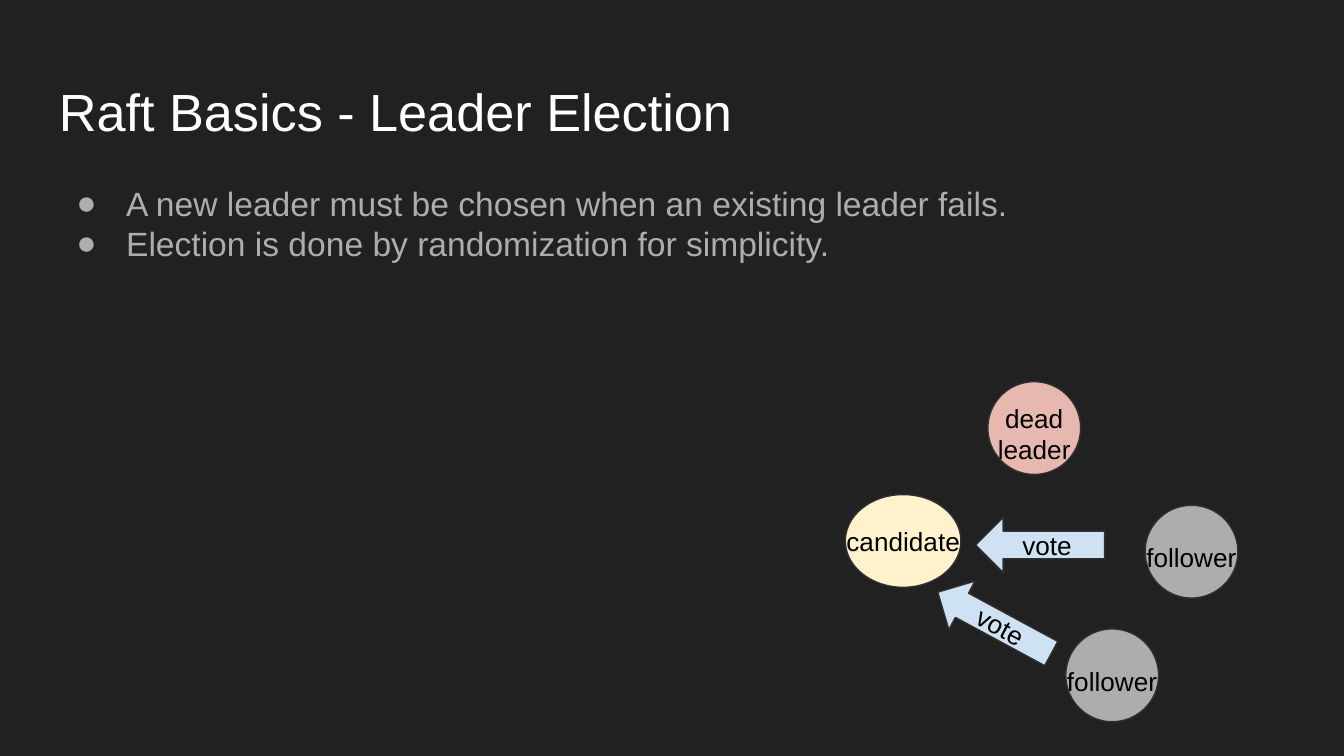
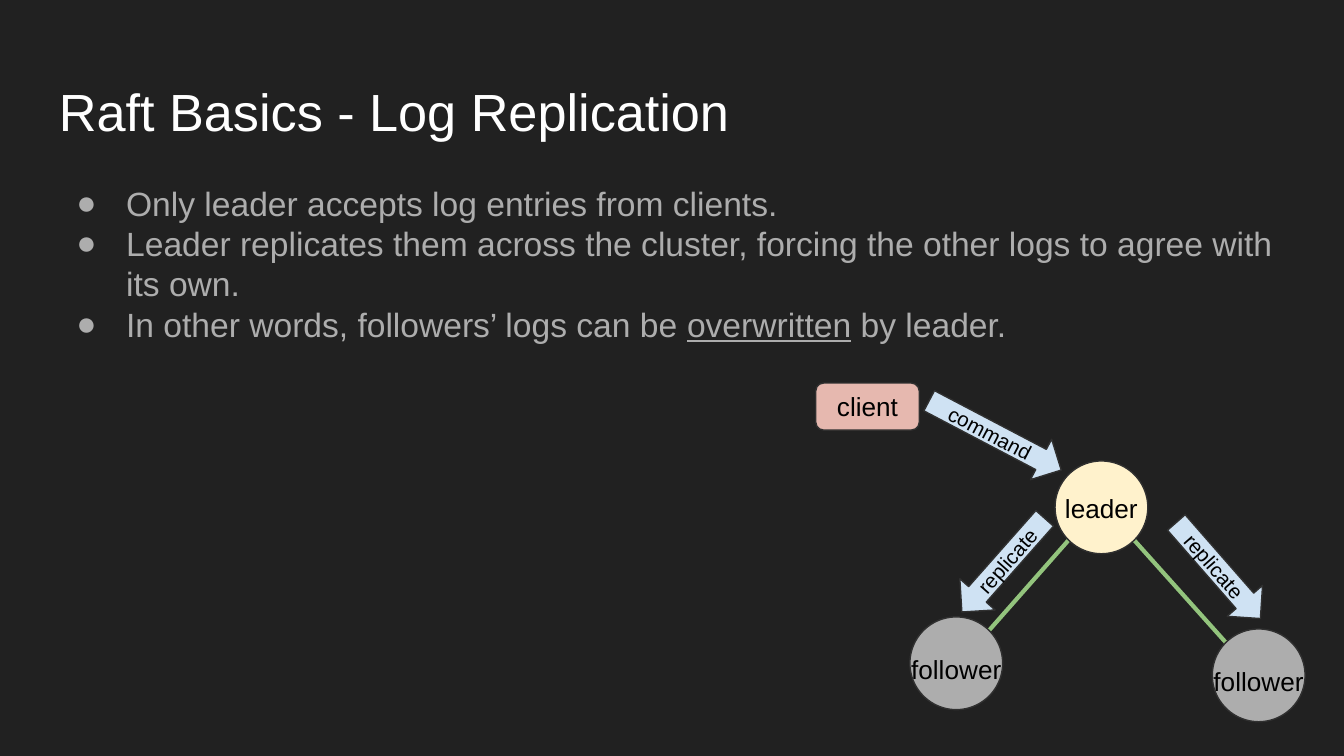
from dataclasses import dataclass
from math import sqrt

from lxml import etree
from pptx import Presentation
from pptx.dml.color import RGBColor
from pptx.enum.shapes import MSO_CONNECTOR, MSO_SHAPE as Preset
from pptx.enum.text import MSO_ANCHOR as Anchor, PP_ALIGN as Align
from pptx.oxml.ns import qn
from pptx.slide import Slide
from pptx.util import Inches, Pt


@dataclass(frozen=True)
class Theme:
    font: str = "Arial"
    background: str = "212121"
    title: str = "FFFFFF"
    body: str = "ADADAD"
    label: str = "000000"
    outline: str = "303030"
    link: str = "93C47D"
    arrow: str = "CFE2F3"
    red: str = "E6B8AF"
    yellow: str = "FFF2CC"
    grey: str = "ADADAD"
    title_size: int = 28
    body_size: int = 18
    label_size: int = 14
    small_size: int = 11


THEME = Theme()
LABEL_HEIGHT = 0.35


@dataclass(frozen=True)
class Node:
    """A cluster member: an ellipse with its label laid over it."""
    left: float
    top: float
    lines: tuple[str, ...]
    fill: str
    label_drop: float
    width: float = 0.69
    height: float = 0.69
    label_width: float = 0.88

    def diagonal(self, right: int, down: int) -> tuple[float, float]:
        """Point on the outline at 45 degrees, by direction signs."""
        return (self.left + self.width / 2 * (1 + right / sqrt(2)),
                self.top + self.height / 2 * (1 + down / sqrt(2)))


@dataclass(frozen=True)
class Block:
    """A preset shape that carries its own text."""
    preset: Preset
    left: float
    top: float
    width: float
    height: float
    text: str
    rotation: float = 0
    fill: str = THEME.arrow
    size: int = THEME.label_size
    inset: float = 0.1


def follower(left: float, top: float) -> Node:
    return Node(left, top, ("follower",), THEME.grey, 0.17)


def color(value: str) -> RGBColor:
    return RGBColor.from_string(value)


def add_run(paragraph, text: str, size: int, tint: str, underline: bool = False) -> None:
    run = paragraph.add_run()
    run.text = text
    run.font.name = THEME.font
    run.font.size = Pt(size)
    run.font.color.rgb = color(tint)
    if underline:
        run.font.underline = True


def prepare(frame, inset: float = 0.1, anchor: Anchor = Anchor.TOP):
    frame.word_wrap = True
    frame.vertical_anchor = anchor
    frame.margin_left = frame.margin_right = Inches(0.1)
    frame.margin_top = frame.margin_bottom = Inches(inset)
    return frame


def add_text_frame(slide: Slide, left: float, top: float, width: float, height: float):
    box = slide.shapes.add_textbox(Inches(left), Inches(top), Inches(width), Inches(height))
    return prepare(box.text_frame)


def paragraph_at(frame, index: int):
    return frame.add_paragraph() if index else frame.paragraphs[0]


def add_filled(slide: Slide, preset: Preset, part: Node | Block):
    shape = slide.shapes.add_shape(preset, Inches(part.left), Inches(part.top),
                                   Inches(part.width), Inches(part.height))
    shape.shadow.inherit = False
    shape.fill.solid()
    shape.fill.fore_color.rgb = color(part.fill)
    shape.line.color.rgb = color(THEME.outline)
    shape.line.width = Pt(0.75)
    return shape


def draw_node(slide: Slide, node: Node) -> None:
    add_filled(slide, Preset.OVAL, node)
    label_left = node.left + (node.width - node.label_width) / 2
    frame = add_text_frame(slide, label_left, node.top + node.label_drop,
                           node.label_width, LABEL_HEIGHT)
    for index, line in enumerate(node.lines):
        paragraph = paragraph_at(frame, index)
        paragraph.alignment = Align.CENTER
        add_run(paragraph, line, THEME.label_size, THEME.label)


def draw_block(slide: Slide, block: Block) -> None:
    shape = add_filled(slide, block.preset, block)
    shape.rotation = block.rotation
    paragraph = prepare(shape.text_frame, block.inset, Anchor.MIDDLE).paragraphs[0]
    paragraph.alignment = Align.CENTER
    add_run(paragraph, block.text, block.size, THEME.label)


def draw_link(slide: Slide, start: tuple[float, float], end: tuple[float, float]) -> None:
    link = slide.shapes.add_connector(MSO_CONNECTOR.STRAIGHT,
                                      *(Inches(value) for value in start + end))
    link.line.color.rgb = color(THEME.link)
    link.line.width = Pt(2.25)
    etree.SubElement(link._element.spPr, qn("a:effectLst"))


def set_bullet(paragraph) -> None:
    properties = paragraph._p.get_or_add_pPr()
    properties.set("marL", str(Inches(0.5)))
    properties.set("indent", str(Inches(-0.37)))
    tint = etree.SubElement(properties, qn("a:buClr"))
    etree.SubElement(tint, qn("a:srgbClr"), val=THEME.body)
    etree.SubElement(properties, qn("a:buFont"), typeface=THEME.font)
    etree.SubElement(properties, qn("a:buChar"), char="●")


def add_topic(deck, title: str, bullets: list[list[tuple[str, bool]]]) -> Slide:
    """Slide with background, title and bullets; runs are (text, underlined)."""
    slide = deck.slides.add_slide(deck.slide_layouts[6])
    slide.background.fill.solid()
    slide.background.fill.fore_color.rgb = color(THEME.background)

    heading = add_text_frame(slide, 0.34, 0.49, 9.32, 0.63)
    add_run(heading.paragraphs[0], title, THEME.title_size, THEME.title)

    body = add_text_frame(slide, 0.34, 1.26, 9.32, 3.74)
    for index, runs in enumerate(bullets):
        paragraph = paragraph_at(body, index)
        set_bullet(paragraph)
        for text, underline in runs:
            add_run(paragraph, text, THEME.body_size, THEME.body, underline)
    return slide


def build_election(deck) -> None:
    slide = add_topic(deck, "Raft Basics - Leader Election", [
        [("A new leader must be chosen when an existing leader fails.", False)],
        [("Election is done by randomization for simplicity.", False)],
    ])

    # Cluster members
    for node in (
        Node(7.35, 2.84, ("dead", "leader"), THEME.red, 0.05),
        follower(8.52, 3.76),
        follower(7.93, 4.68),
        Node(6.29, 3.68, ("candidate",), THEME.yellow, 0.13, width=0.86, label_width=1.11),
    ):
        draw_node(slide, node)

    # Votes
    for left, top, rotation in ((7.26, 3.85, 0), (6.92, 4.43, 28.4)):
        draw_block(slide, Block(Preset.LEFT_ARROW, left, top, 0.96, 0.41, "vote", rotation))


def build_replication(deck) -> None:
    slide = add_topic(deck, "Raft Basics - Log Replication", [
        [("Only leader accepts log entries from clients.", False)],
        [("Leader replicates them across the cluster, forcing the other logs "
          "to agree with its own.", False)],
        [("In other words, followers’ logs can be ", False),
         ("overwritten", True), (" by leader.", False)],
    ])
    leader = Node(7.85, 3.43, ("leader",), THEME.yellow, 0.13)
    left_follower = follower(6.77, 4.59)
    right_follower = follower(9.02, 4.68)

    # Links run behind the cluster members
    for member, side in ((left_follower, -1), (right_follower, 1)):
        draw_link(slide, member.diagonal(-side, -1), leader.diagonal(side, 1))
    for node in (leader, left_follower, right_follower):
        draw_node(slide, node)

    # Client and message arrows
    small = {"size": THEME.small_size, "inset": 0.07}
    for block in (
        Block(Preset.ROUNDED_RECTANGLE, 6.07, 2.85, 0.77, 0.35, "client", fill=THEME.red),
        Block(Preset.RIGHT_ARROW, 6.85, 3.07, 1.11, 0.34, "command", 27.7, **small),
        Block(Preset.RIGHT_ARROW, 8.59, 4.07, 0.95, 0.35, "replicate", 48.8, **small),
        Block(Preset.LEFT_ARROW, 7, 4.03, 0.93, 0.35, "replicate", 311.5, **small),
    ):
        draw_block(slide, block)


def main() -> None:
    deck = Presentation()
    # Widescreen, 16:9
    deck.slide_width = Inches(10)
    deck.slide_height = Inches(10 * 9 / 16)
    build_election(deck)
    build_replication(deck)
    deck.save("out.pptx")


if __name__ == "__main__":
    main()
